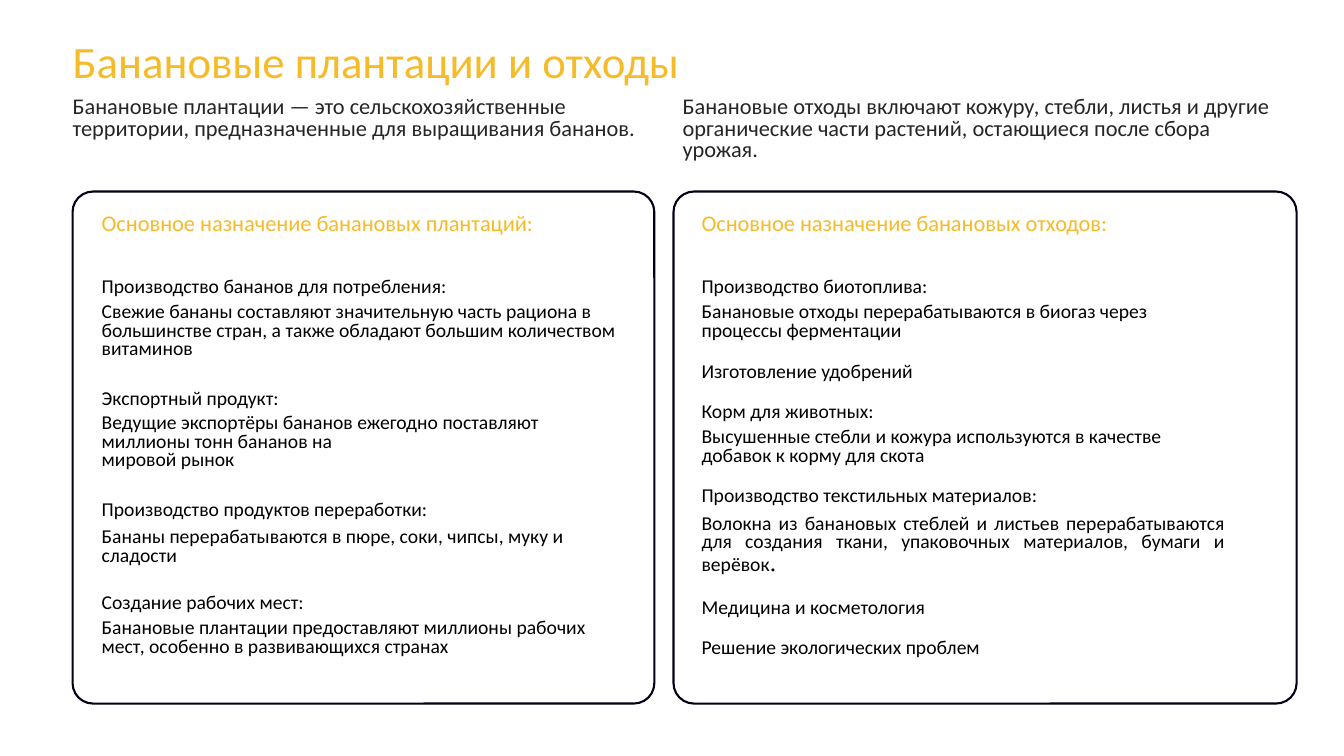
from copy import deepcopy
from dataclasses import dataclass

from lxml import etree
from pptx import Presentation
from pptx.dml.color import RGBColor
from pptx.enum.shapes import MSO_SHAPE as Shape
from pptx.enum.text import MSO_ANCHOR as Anchor
from pptx.enum.text import MSO_AUTO_SIZE as Fit
from pptx.enum.text import PP_ALIGN as Align
from pptx.oxml.ns import qn
from pptx.util import Inches, Pt

GOLD, GREY, BLACK, NAVY = "F5BB29", "262626", "000000", "000018"
WIDE = 5.39
HEAD_TOP, BOX_TOP, BOX_TALL = 2.08, 1.9, 5.08


@dataclass
class Item:
    top: float
    head: str
    note: str = ""
    gap: float = 0.31
    tall: float = 0.48
    just: bool = False
    tail: str = ""


@dataclass
class Side:
    left: float
    intro: str
    intro_at: tuple[float, float]
    box: tuple[float, float]
    head: str
    items: list[Item]


SIDES = [
    Side(0.91,
         "Банановые плантации — это сельскохозяйственные территории, "
         "предназначенные для выращивания бананов.",
         (0.62, 6.04), (0.72, 5.77),
         "Основное назначение банановых плантаций:",
         [
             Item(2.65, "Производство бананов для потребления:",
                  "Свежие бананы составляют значительную часть рациона в большинстве "
                  "стран, а также обладают большим количеством витаминов", tall=0.67),
             Item(3.76, "Экспортный продукт:",
                  "Ведущие экспортёры бананов ежегодно поставляют миллионы тонн "
                  "бананов на\nмировой рынок", gap=0.3, tall=0.67),
             Item(4.86, "Производство продуктов переработки:",
                  "Бананы перерабатываются в пюре, соки, чипсы, муку и сладости",
                  gap=0.33),
             Item(5.79, "Создание рабочих мест:",
                  "Банановые плантации предоставляют миллионы рабочих мест, "
                  "особенно в развивающихся странах", tall=0.67),
         ]),
    Side(6.86,
         "Банановые отходы включают кожуру, стебли, листья и другие "
         "органические части растений, остающиеся после сбора урожая.",
         (6.67, 6.18), (6.68, 6.18),
         "Основное назначение банановых отходов:",
         [
             Item(2.65, "Производство биотоплива:",
                  "Банановые отходы перерабатываются в биогаз через "
                  "процессы ферментации"),
             Item(3.5, "Изготовление удобрений"),
             Item(3.89, "Корм для животных:",
                  "Высушенные стебли и кожура используются в качестве "
                  "добавок к корму для скота"),
             Item(4.73, "Производство текстильных материалов:",
                  "Волокна из банановых стеблей и листьев перерабатываются для "
                  "создания ткани, упаковочных материалов, бумаги и верёвок",
                  gap=0.33, tall=0.72, just=True, tail="."),
             Item(5.84, "Медицина и косметология"),
             Item(6.23, "Решение экологических проблем"),
         ]),
]


def tint(code: str) -> RGBColor:
    return RGBColor.from_string(code)


def style(run, size: float, color: str, face: str = "Calibri") -> None:
    run.font.size = Pt(size)
    run.font.name = face
    run.font.color.rgb = tint(color)


def write(slide, text: str, at: tuple, *, size: float = 14, color: str = BLACK,
          line: float = 0.8, after: float = 8, align=Align.LEFT,
          tail: str = "", slot=None) -> None:
    """Fill a placeholder, or a new text box, with one paragraph."""
    left, top, wide, tall = map(Inches, at)
    if slot is None:
        slot = slide.shapes.add_textbox(left, top, wide, tall)
    else:
        slot.left, slot.top, slot.width, slot.height = left, top, wide, tall
    frame = slot.text_frame
    frame.word_wrap = True
    frame.auto_size = Fit.SHAPE_TO_FIT_TEXT
    frame.vertical_anchor = Anchor.TOP
    para = frame.paragraphs[0]
    para.text = text
    para.alignment = align
    para.line_spacing = line
    para.space_before, para.space_after = Pt(0), Pt(after)
    for run in para.runs:
        style(run, size, color)
    # Line breaks take the size of the text around them
    for br in para._p.findall(qn("a:br")):
        br.append(deepcopy(para.runs[0]._r.rPr))
    # No bullet and no hanging indent
    props = para._p.get_or_add_pPr()
    props.set("marL", "0")
    props.set("indent", "0")
    etree.SubElement(props, qn("a:buNone"))
    if tail:
        run = para.add_run()
        run.text = tail
        style(run, 18, color, "Times New Roman")


def frame_box(slide, left: float, wide: float) -> None:
    box = slide.shapes.add_shape(Shape.ROUNDED_RECTANGLE, Inches(left),
                                 Inches(BOX_TOP), Inches(wide), Inches(BOX_TALL))
    box.adjustments[0] = 0.04
    box.shadow.inherit = False
    box.fill.background()
    box.line.color.rgb = tint(NAVY)
    box.line.width = Pt(1.5)


def draw_side(slide, side: Side, slot) -> None:
    # Intro, frame and heading
    left, wide = side.intro_at
    write(slide, side.intro, (left, 0.92, wide, 0.75), size=16, color=GREY, slot=slot)
    frame_box(slide, *side.box)
    write(slide, side.head, (side.left, HEAD_TOP, WIDE, 0.53), size=16, color=GOLD)
    # Uses, each with an optional note
    for item in side.items:
        write(slide, item.head, (side.left, item.top, WIDE, 0.34), line=1.07)
        if item.note:
            write(slide, item.note,
                  (side.left, item.top + item.gap, WIDE, item.tall),
                  align=Align.JUSTIFY if item.just else Align.LEFT, tail=item.tail)


def main() -> None:
    deck = Presentation()
    deck.slide_width, deck.slide_height = Inches(13.33), Inches(7.5)
    slide = deck.slides.add_slide(deck.slide_layouts[3])
    title, *slots = slide.placeholders
    write(slide, "Банановые плантации и отходы", (0.62, 0.39, 8.83, 0.53),
          size=32, color=GOLD, after=0, slot=title)
    for side, slot in zip(SIDES, slots):
        draw_side(slide, side, slot)
    deck.save("out.pptx")


if __name__ == "__main__":
    main()
